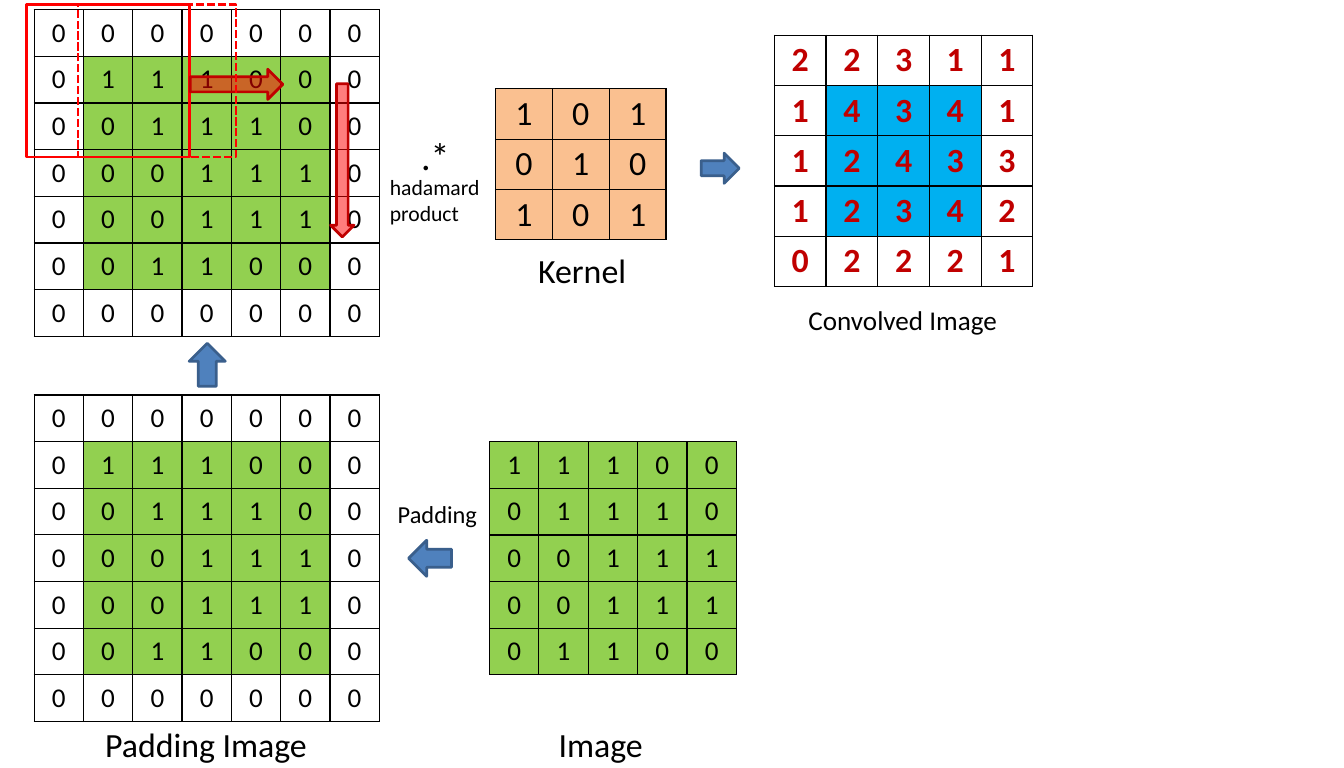
import pptx
import pptx.dml.color
import pptx.enum.dml
import pptx.enum.shapes
import pptx.enum.text
import pptx.oxml
import pptx.oxml.ns
import pptx.util

Inches = pptx.util.Inches
Pt = pptx.util.Pt
RGBColor = pptx.dml.color.RGBColor
SHAPE = pptx.enum.shapes.MSO_SHAPE

BLACK = RGBColor(0x00, 0x00, 0x00)
WHITE = RGBColor(0xFF, 0xFF, 0xFF)
GREEN = RGBColor(0x92, 0xD0, 0x50)
ORANGE = RGBColor(0xFA, 0xC0, 0x90)
SKY = RGBColor(0x00, 0xB0, 0xF0)
RED = RGBColor(0xFF, 0x00, 0x00)
DARK_RED = RGBColor(0xC0, 0x00, 0x00)
BLUE = RGBColor(0x4F, 0x81, 0xBD)
DARK_BLUE = RGBColor(0x3A, 0x5F, 0x8C)

IMAGE = ["11100", "01110", "00111", "00111", "01100"]
PADDED = ["0" * 7, *(f"0{row}0" for row in IMAGE), "0" * 7]
KERNEL = ["101", "010", "101"]
CONVOLVED = ["22311", "14341", "12433", "12342", "02221"]


def write_text(frame, text, size=20, color=BLACK, bold=False, align=pptx.enum.text.PP_ALIGN.LEFT):
    for number, line in enumerate(text.split("\n")):
        para = frame.add_paragraph() if number else frame.paragraphs[0]
        para.alignment = align
        span = para.add_run()
        span.text = line
        span.font.name = "Calibri"
        span.font.size = Pt(size)
        span.font.bold = bold
        span.font.color.rgb = color


def add_label(page, text, left, top, width, height, size):
    box = page.shapes.add_textbox(Inches(left), Inches(top), Inches(width), Inches(height))
    box.text_frame.word_wrap = False
    box.text_frame.auto_size = pptx.enum.text.MSO_AUTO_SIZE.SHAPE_TO_FIT_TEXT
    write_text(box.text_frame, text, size=size)


def add_borders(cell):
    properties = cell._tc.get_or_add_tcPr()
    for position, side in enumerate(("lnL", "lnR", "lnT", "lnB")):
        border = pptx.oxml.parse_xml(
            f'<a:{side} {pptx.oxml.ns.nsdecls("a")} w="{Pt(1)}">'
            f'<a:solidFill><a:srgbClr val="{BLACK}"/></a:solidFill></a:{side}>')
        properties.insert(position, border)


def add_matrix(page, rows, left, top, width, height, inner, outer=None, **text_format):
    """Grid of digits; the outermost ring of cells takes the outer colour."""
    count = len(rows)
    table = page.shapes.add_table(
        count, count, Inches(left), Inches(top), Inches(width), Inches(height)).table
    table.first_row = table.horz_banding = False
    for index in range(count):
        table.columns[index].width = Inches(width / count)
        table.rows[index].height = Inches(height / count)
    for r, row in enumerate(rows):
        for c, digit in enumerate(row):
            cell = table.cell(r, c)
            on_ring = r in (0, count - 1) or c in (0, count - 1)
            cell.fill.solid()
            cell.fill.fore_color.rgb = outer if outer and on_ring else inner
            cell.vertical_anchor = pptx.enum.text.MSO_ANCHOR.MIDDLE
            cell.margin_top = cell.margin_bottom = 0
            write_text(cell.text_frame, digit, align=pptx.enum.text.PP_ALIGN.CENTER, **text_format)
            add_borders(cell)


def add_figure(page, kind, left, top, width, height, line, fill=None, opacity=None, dash=None):
    figure = page.shapes.add_shape(kind, Inches(left), Inches(top), Inches(width), Inches(height))
    figure.shadow.inherit = False
    figure.line.color.rgb = line
    figure.line.width = Pt(2)
    if dash:
        figure.line.dash_style = dash
    if fill is None:
        figure.fill.background()
        return
    figure.fill.solid()
    figure.fill.fore_color.rgb = fill
    if opacity:
        color = figure.fill._xPr.find(".//" + pptx.oxml.ns.qn("a:srgbClr"))
        color.append(pptx.oxml.parse_xml(
            f'<a:alpha {pptx.oxml.ns.nsdecls("a")} val="{opacity * 1000}"/>'))


def main():
    deck = pptx.Presentation()
    deck.slide_width = Pt(992.25)
    deck.slide_height = Pt(567)
    page = deck.slides.add_slide(deck.slide_layouts[6])

    # Padded image, shown at the start and at the end of padding
    for top in (0.1, 4.05):
        add_matrix(page, PADDED, 0.35, top, 3.54, 3.35, GREEN, WHITE)

    # Kernel, result and source image
    add_matrix(page, KERNEL, 5.08, 0.91, 1.75, 1.55, ORANGE, size=25)
    add_matrix(page, CONVOLVED, 7.94, 0.36, 2.65, 2.58, SKY, WHITE,
               size=25, color=DARK_RED, bold=True)
    add_matrix(page, IMAGE, 5.02, 4.53, 2.53, 2.39, GREEN)

    # Sliding window and its directions
    add_figure(page, SHAPE.RECTANGLE, 0.27, 0.05, 1.67, 1.56, RED)
    add_figure(page, SHAPE.RIGHT_ARROW, 1.95, 0.71, 0.95, 0.31, DARK_RED, RED, opacity=51)
    add_figure(page, SHAPE.DOWN_ARROW, 3.39, 0.86, 0.24, 1.57, DARK_RED, RED, opacity=51)
    add_figure(page, SHAPE.RECTANGLE, 0.8, 0.05, 1.62, 1.56, RED,
               dash=pptx.enum.dml.MSO_LINE.SQUARE_DOT)

    # Arrows between the steps
    add_figure(page, SHAPE.RIGHT_ARROW, 7.19, 1.57, 0.39, 0.31, DARK_BLUE, BLUE)
    add_figure(page, SHAPE.LEFT_ARROW, 4.19, 5.54, 0.44, 0.37, DARK_BLUE, BLUE)
    add_figure(page, SHAPE.UP_ARROW, 1.94, 3.52, 0.37, 0.44, DARK_BLUE, BLUE)

    # Labels
    add_label(page, "Padding Image", 0.98, 7.37, 2.29, 0.52, 25)
    add_label(page, "Kernel", 5.42, 2.51, 1.12, 0.52, 25)
    add_label(page, ".*", 4.22, 1.31, 0.5, 0.57, 28)
    add_label(page, "hadamard\nproduct", 3.9, 1.73, 1.13, 0.64, 16)
    add_label(page, "Convolved Image", 8.19, 3.06, 2.15, 0.44, 20)
    add_label(page, "Image", 5.63, 7.37, 1.08, 0.52, 25)
    add_label(page, "Padding", 3.98, 5.07, 1.02, 0.4, 18)

    deck.save("out.pptx")


if __name__ == "__main__":
    main()
